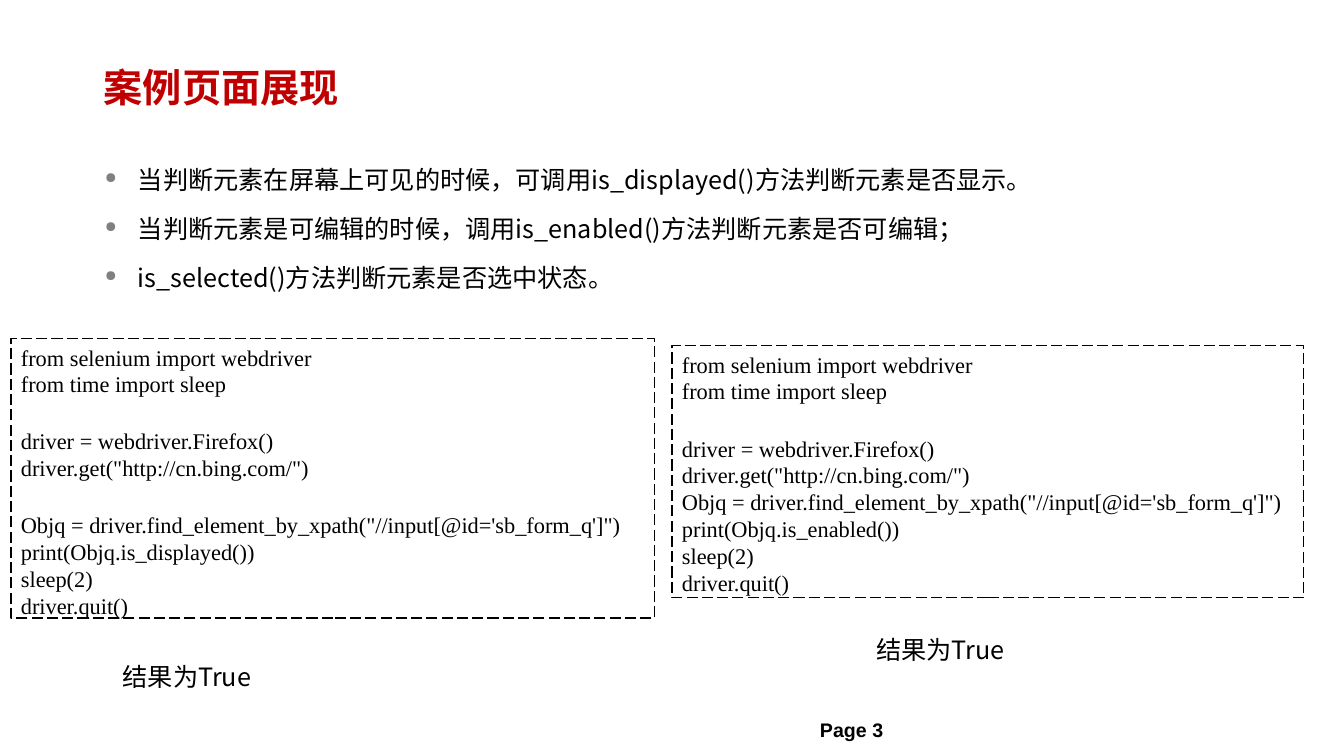
from dataclasses import dataclass

from lxml.etree import SubElement
from pptx import Presentation
from pptx.dml.color import RGBColor
from pptx.enum.dml import MSO_LINE
from pptx.enum.shapes import MSO_SHAPE
from pptx.enum.text import MSO_ANCHOR, PP_ALIGN
from pptx.oxml.ns import qn
from pptx.util import Inches, Pt


@dataclass(frozen=True)
class Theme:
    ink: str = "000000"
    red: str = "C00000"
    grey: str = "808080"
    paper: str = "FFFFFF"
    sans: str = "Noto Sans CJK SC"
    serif: str = "Times New Roman"
    arial: str = "Arial"
    head: int = 28
    body: int = 18
    code: int = 16
    foot: int = 14


def color(code):
    return RGBColor.from_string(code)


def dot(para, tint, hang):
    """Give the paragraph a small round bullet and a hanging indent."""
    props = para._p.get_or_add_pPr()
    props.set("marL", str(hang))
    props.set("indent", str(-hang))
    tone = SubElement(props, qn("a:buClr"))
    SubElement(tone, qn("a:srgbClr"), val=tint)
    SubElement(props, qn("a:buSzPct"), val="60000")
    SubElement(props, qn("a:buChar"), char="●")


def write(frame, lines, *, font, size, ink, bold=False, align=PP_ALIGN.LEFT,
          anchor=MSO_ANCHOR.TOP, pad=(0.09, 0.04), lead=None, gap=0,
          bullet=None, hang=0):
    """Fill a frame, one paragraph for each line."""
    frame.word_wrap = True
    frame.vertical_anchor = anchor
    frame.margin_left = frame.margin_right = Inches(pad[0])
    frame.margin_top = frame.margin_bottom = Inches(pad[1])
    for i, line in enumerate(lines):
        para = frame.add_paragraph() if i else frame.paragraphs[0]
        para.text = line
        para.alignment = align
        if lead:
            para.line_spacing = lead
        if i and gap:
            para.space_before = Pt(gap)
        if bullet:
            dot(para, bullet, hang)
        for run in para.runs:
            run.font.name = font
            run.font.size = Pt(size)
            run.font.bold = bold
            run.font.color.rgb = color(ink)
            SubElement(run._r.get_or_add_rPr(), qn("a:ea"), typeface=font)


class Deck:
    def __init__(self, theme):
        self.theme = theme
        self.show = Presentation()
        self.show.slide_width = Inches(13.34)
        self.show.slide_height = Inches(7.5)
        self.slide = self.show.slides.add_slide(self.show.slide_layouts[6])

    def area(self, x, y, w, h):
        """Turn percent shares of the slide into lengths."""
        wide, high = self.show.slide_width, self.show.slide_height
        return [int(part * side / 100)
                for part, side in zip((x, y, w, h), (wide, high) * 2)]

    def text(self, place, *lines, **style):
        look = dict(font=self.theme.sans, size=self.theme.body,
                    ink=self.theme.ink) | style
        box = self.slide.shapes.add_textbox(*self.area(*place))
        write(box.text_frame, lines, **look)

    def title(self, place, line):
        self.text(place, line, size=self.theme.head, ink=self.theme.red,
                  bold=True, anchor=MSO_ANCHOR.MIDDLE)

    def list(self, place, *lines):
        hang = self.area(2.47, 0, 0, 0)[0]
        self.text(place, *lines, lead=1.3, gap=6.8,
                  bullet=self.theme.grey, hang=hang)

    def code(self, place, source):
        box = self.slide.shapes.add_shape(MSO_SHAPE.RECTANGLE,
                                          *self.area(*place))
        box.shadow.inherit = False
        box.fill.solid()
        box.fill.fore_color.rgb = color(self.theme.paper)
        box.line.color.rgb = color(self.theme.ink)
        box.line.width = Pt(1)
        box.line.dash_style = MSO_LINE.LONG_DASH
        write(box.text_frame, [source.replace("\n", "\v")],
              font=self.theme.serif, size=self.theme.code,
              ink=self.theme.ink, pad=(0.1, 0.05))

    def result(self, x, y):
        self.text((x, y, 18.07, 6.13), "结果为True", lead=1.2,
                  align=PP_ALIGN.CENTER)

    def page(self, place, line):
        self.text(place, line, font=self.theme.arial, size=self.theme.foot,
                  bold=True)


START = """from selenium import webdriver
from time import sleep

driver = webdriver.Firefox()
driver.get("http://cn.bing.com/")
"""
FIND = """Objq = driver.find_element_by_xpath("//input[@id='sb_form_q']")
"""
END = """
sleep(2)
driver.quit()"""


def main():
    deck = Deck(Theme())
    deck.page((60.34, 94.4, 12.29, 4.27), "Page 3")
    deck.title((7.05, 5.2, 84.48, 12.67), "案例页面展现")
    deck.list((7.12, 20, 86.66, 22.93),
              "当判断元素在屏幕上可见的时候，可调用is_displayed()方法判断元素是否显示。",
              "当判断元素是可编辑的时候，调用is_enabled()方法判断元素是否可编辑；",
              "is_selected()方法判断元素是否选中状态。")
    deck.code((0.82, 44.8, 47.9, 36.93),
              START + "\n" + FIND + "print(Objq.is_displayed())" + END)
    deck.code((50, 45.73, 47, 33.33),
              START + FIND + "print(Objq.is_enabled())" + END)
    deck.result(60.94, 82.53)
    deck.result(4.87, 86.13)
    deck.show.save("out.pptx")


if __name__ == "__main__":
    main()
